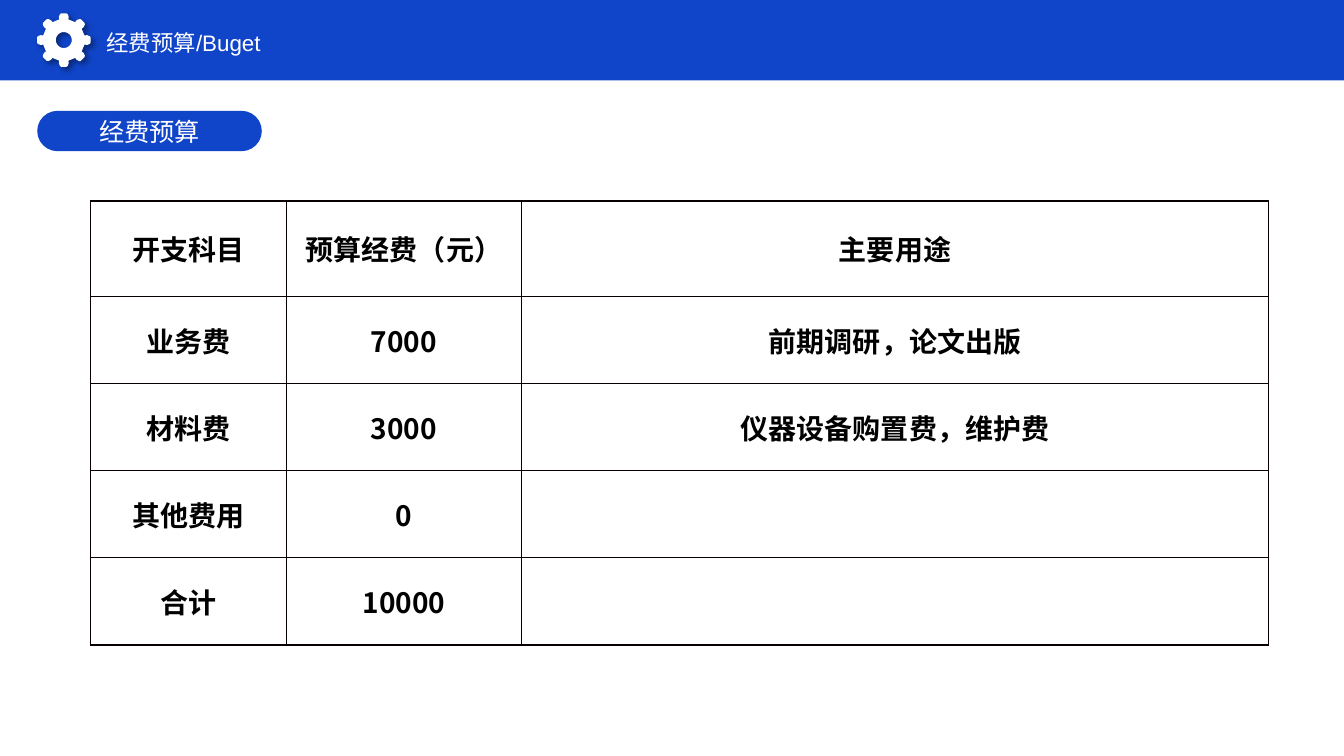
"""Build the budget slide: header band with gear, section label and budget table."""
from math import cos, radians, sin

from lxml import etree
from pptx import Presentation
from pptx.dml.color import RGBColor
from pptx.enum.shapes import MSO_SHAPE
from pptx.enum.text import MSO_ANCHOR, PP_ALIGN
from pptx.oxml.ns import qn
from pptx.util import Pt

RECTANGLE, PILL = MSO_SHAPE.RECTANGLE, MSO_SHAPE.ROUNDED_RECTANGLE
CENTER, MIDDLE = PP_ALIGN.CENTER, MSO_ANCHOR.MIDDLE
BLUE = RGBColor(0x10, 0x45, 0xC9)
WHITE = RGBColor(0xFF, 0xFF, 0xFF)
BLACK = RGBColor(0x00, 0x00, 0x00)
BORDER = RGBColor(0x08, 0x00, 0x00)
LATIN, CJK = "Arial", "Noto Sans CJK SC"


def write(paragraph, text, font, size, color, bold=False):
    run = paragraph.add_run()
    run.text = text
    run.font.name = font
    run.font.size = Pt(size)
    run.font.bold = bold
    run.font.color.rgb = color
    etree.SubElement(run.font._element, qn("a:ea"), typeface=CJK)


def paint(shape, color):
    shape.shadow.inherit = False
    shape.fill.solid()
    shape.fill.fore_color.rgb = color
    shape.line.fill.background()


prs = Presentation()
prs.slide_width, prs.slide_height = Pt(960), Pt(540)
slide = prs.slides.add_slide(prs.slide_layouts[6])
shapes = slide.shapes

header = shapes.add_shape(RECTANGLE, 0, 0, Pt(960), Pt(57.4))
paint(header, BLUE)

title = shapes.add_textbox(Pt(69.1), Pt(17.3), Pt(647), Pt(34.6))
title.text_frame.word_wrap = True
write(title.text_frame.paragraphs[0], "经费预算/Buget", LATIN, 16, WHITE)

GEAR_X, GEAR_Y, HOLE_RADIUS = 45.6, 28.6, 5.7
TOOTH = [(-12.4, 15.1), (-12, 16.9), (-8.5, 18.7), (-5.4, 19.2),
         (5.4, 19.2), (8.5, 18.7), (12, 16.9), (12.4, 15.1)]
rim = [(turn + angle, radius) for turn in range(0, 360, 45) for angle, radius in TOOTH]
hole = [(angle, HOLE_RADIUS) for angle in range(360, 0, -10)]
outlines = [[(Pt(GEAR_X + radius * cos(radians(angle))), Pt(GEAR_Y + radius * sin(radians(angle))))
             for angle, radius in contour] for contour in (rim, hole)]
gear_builder = shapes.build_freeform(*outlines[0][0], scale=1.0)
gear_builder.add_line_segments(outlines[0][1:], close=True)
gear_builder.move_to(*outlines[1][0])
gear_builder.add_line_segments(outlines[1][1:], close=True)
gear = gear_builder.convert_to_shape()
paint(gear, WHITE)
effects = gear._element.spPr.find(qn("a:effectLst"))
gear_shadow = etree.SubElement(effects, qn("a:outerShdw"), blurRad=str(Pt(4)), dist=str(Pt(3)),
                               dir="2700000", algn="tl", rotWithShape="0")
shadow_color = etree.SubElement(gear_shadow, qn("a:srgbClr"), val=str(BLACK))
etree.SubElement(shadow_color, qn("a:alpha"), val="40000")

label = shapes.add_shape(PILL, Pt(26.6), Pt(79.2), Pt(160.4), Pt(28.8))
label.adjustments[0] = 0.5
paint(label, BLUE)
label.text_frame.vertical_anchor = MIDDLE
label.text_frame.paragraphs[0].alignment = CENTER
write(label.text_frame.paragraphs[0], "经费预算", LATIN, 18, WHITE)

BUDGET = [
    ("开支科目", "预算经费（元）", "主要用途"),
    ("业务费", "7000", "前期调研，论文出版"),
    ("材料费", "3000", "仪器设备购置费，维护费"),
    ("其他费用", "0", ""),
    ("合计", "10000", ""),
]
COLUMN_WIDTHS = [140, 168, 533.6]
ROW_HEIGHTS = [68, 62.3, 62.3, 62.3, 62.3]
budget = shapes.add_table(len(BUDGET), len(COLUMN_WIDTHS), Pt(64.6), Pt(143.6),
                          Pt(sum(COLUMN_WIDTHS)), Pt(sum(ROW_HEIGHTS))).table
budget.first_row = budget.horz_banding = False
for column, width in zip(budget.columns, COLUMN_WIDTHS):
    column.width = Pt(width)
for row, height, entries in zip(budget.rows, ROW_HEIGHTS, BUDGET):
    row.height = Pt(height)
    for cell, entry in zip(row.cells, entries):
        cell.margin_left = cell.margin_right = Pt(5)
        cell.margin_top = cell.margin_bottom = 0
        cell.vertical_anchor = MIDDLE
        for side in ("a:lnL", "a:lnR", "a:lnT", "a:lnB"):
            edge = etree.SubElement(cell._tc.get_or_add_tcPr(), qn(side), w=str(Pt(1)))
            edge_fill = etree.SubElement(edge, qn("a:solidFill"))
            etree.SubElement(edge_fill, qn("a:srgbClr"), val=str(BORDER))
        cell.fill.background()
        if entry:
            paragraph = cell.text_frame.paragraphs[0]
            paragraph.alignment = CENTER
            write(paragraph, entry, CJK, 20, BLACK, bold=True)

prs.save("out.pptx")
